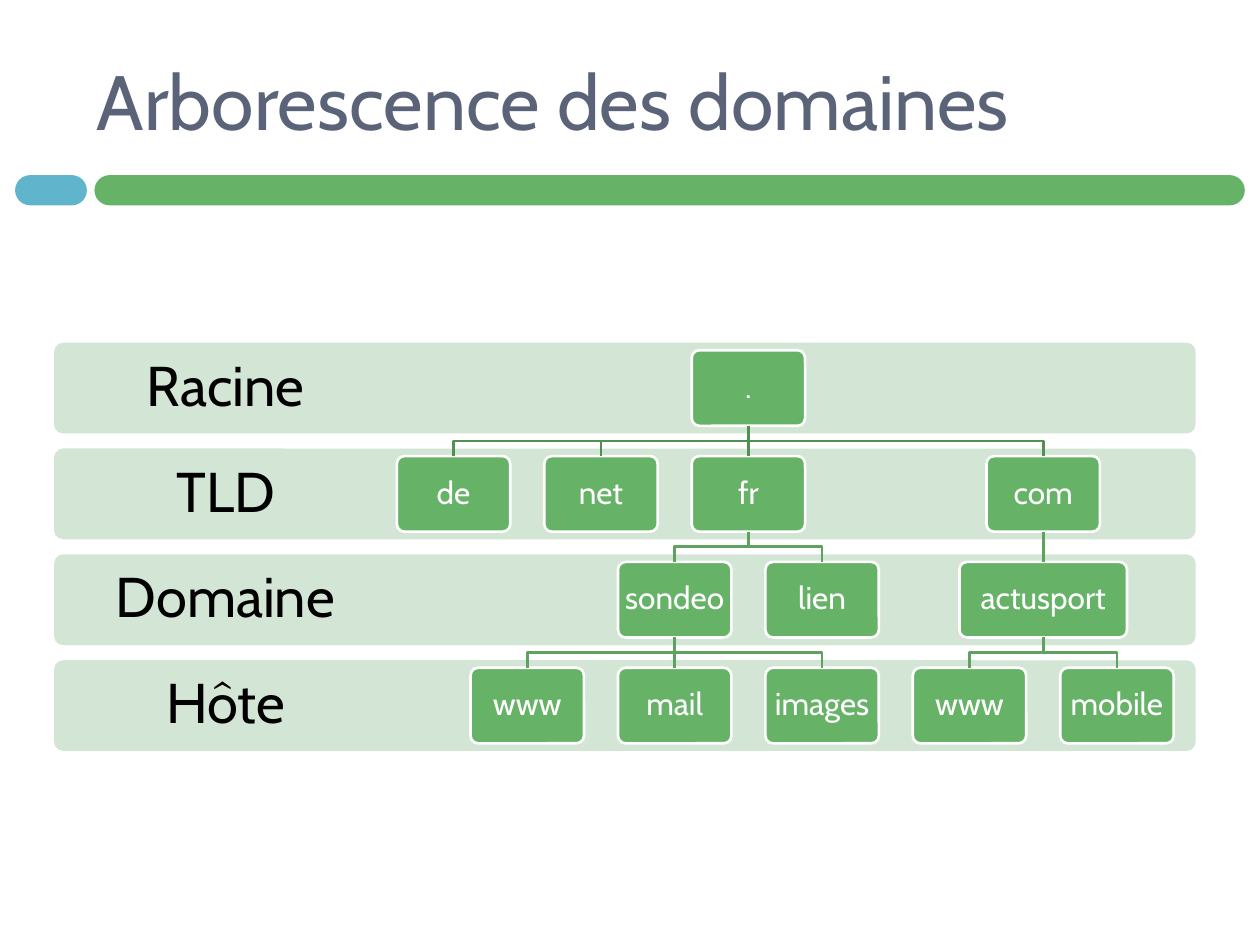
from lxml import etree
from pptx import Presentation
from pptx.dml.color import RGBColor
from pptx.enum.shapes import MSO_CONNECTOR, MSO_SHAPE
from pptx.enum.text import MSO_ANCHOR, PP_ALIGN
from pptx.oxml.ns import qn
from pptx.util import Inches, Pt

ROUNDED = MSO_SHAPE.ROUNDED_RECTANGLE
STRAIGHT = MSO_CONNECTOR.STRAIGHT
MIDDLE = MSO_ANCHOR.MIDDLE
LEFT, CENTER = PP_ALIGN.LEFT, PP_ALIGN.CENTER
BOTTOM_SITE, TOP_SITE = 2, 0

FONT = "Cabin"
GREEN, BLUE, BAND, WHITE = "66B368", "60B5CC", "D3E5D4", "FFFFFF"
ROOT_LINK, LOWER_LINK = "528F53", "5DA25E"

LEVELS = ["Racine", "TLD", "Domaine", "Hôte"]
LEVEL_STEP, BAND_HEIGHT, LABEL_WIDTH = 0.84, 0.72, 2.72
NODE_WIDTH, NODE_HEIGHT, NODE_INSET = 0.9, 0.6, 0.06
FIRST_CENTER, COLUMN = 3.17, 1.17  # centers relative to the tree's left edge

# Each node: name, position in half columns, children
DOMAIN_TREE = (".", 4, [
    ("de", 0, []),
    ("net", 2, []),
    ("fr", 4, [
        ("sondeo", 3, [("www", 1, []), ("mail", 3, []), ("images", 5, [])]),
        ("lien", 5, []),
    ]),
    ("com", 8, [
        ("actusport", 8, [("www", 7, []), ("mobile", 9, [])]),
    ]),
])
WIDE_NODES = {"actusport": 1.33}


def color(hex_value):
    return RGBColor.from_string(hex_value)


def write(shape, text, size, hex_value, align, inset, spacing=1.0):
    frame = shape.text_frame
    frame.word_wrap = True
    frame.vertical_anchor = MIDDLE
    frame.margin_left = frame.margin_right = Inches(inset)
    frame.margin_top = frame.margin_bottom = 0
    paragraph = frame.paragraphs[0]
    paragraph.alignment = align
    paragraph.line_spacing = spacing
    run = paragraph.add_run()
    run.text = text
    run.font.name = FONT
    run.font.size = Pt(size)
    run.font.color.rgb = color(hex_value)


def add_rounded(slide, box, fill, radius, border=None):
    shape = slide.shapes.add_shape(ROUNDED, *map(Inches, box))
    shape.adjustments[0] = radius
    shape.shadow.inherit = False
    shape.fill.solid()
    shape.fill.fore_color.rgb = color(fill)
    if border:
        shape.line.color.rgb = color(border)
        shape.line.width = Pt(1.5)
    else:
        shape.line.fill.background()
    return shape


def add_text(slide, box, *style):
    write(slide.shapes.add_textbox(*map(Inches, box)), *style)


def add_header(slide, left, top, width, height):
    add_text(slide, (left + 0.55, top, width - 0.84, height - 0.3),
             "Arborescence des domaines", 44, "5A6378", LEFT, 0.1)
    bar_top = top + height - 0.24
    add_rounded(slide, (left, bar_top, 0.57, 0.24), BLUE, 0.5)
    add_rounded(slide, (left + 0.63, bar_top, width - 0.63, 0.24), GREEN, 0.5)


def add_levels(slide, left, top, width):
    for row, level in enumerate(LEVELS):
        y = top + row * LEVEL_STEP
        add_rounded(slide, (left, y, width, BAND_HEIGHT), BAND, 0.1)
        add_text(slide, (left, y, LABEL_WIDTH, BAND_HEIGHT),
                 level, 32, "000000", CENTER, 0.25, 0.9)


def add_link(slide, parent, child, hex_value):
    start_x = parent.left + parent.width // 2
    end_x = child.left + child.width // 2
    start_y, end_y = parent.top + parent.height, child.top
    if abs(start_x - end_x) < Inches(0.01):
        link = slide.shapes.add_connector(STRAIGHT, start_x, start_y, end_x, end_y)
        link.begin_connect(parent, BOTTOM_SITE)
        link.end_connect(child, TOP_SITE)
        etree.SubElement(link._element.spPr, qn("a:effectLst"))
    else:
        middle_y = (start_y + end_y) // 2
        builder = slide.shapes.build_freeform(start_x, start_y)
        builder.add_line_segments(
            [(start_x, middle_y), (end_x, middle_y), (end_x, end_y)], close=False)
        link = builder.convert_to_shape()
        link.fill.background()
        link.shadow.inherit = False
    link.line.color.rgb = color(hex_value)
    link.line.width = Pt(1.5)


def add_branch(slide, left, top, node, depth=0):
    """Place a node and all its descendants; return the node's shape."""
    name, half_columns, children = node
    width = WIDE_NODES.get(name, NODE_WIDTH)
    x = left + FIRST_CENTER + half_columns * COLUMN / 2 - width / 2
    y = top + NODE_INSET + depth * LEVEL_STEP
    shape = add_rounded(slide, (x, y, width, NODE_HEIGHT), GREEN, 0.1, WHITE)
    write(shape, name, 18, WHITE, CENTER, 0.02, 0.9)
    for child in children:
        child_shape = add_branch(slide, left, top, child, depth + 1)
        add_link(slide, shape, child_shape, LOWER_LINK if depth else ROOT_LINK)
    return shape


def add_domain_tree(slide, left, top, width):
    add_levels(slide, left, top, width)
    add_branch(slide, left, top, DOMAIN_TREE)


def main():
    deck = Presentation()
    deck.slide_width, deck.slide_height = Inches(10), Inches(7.5)
    slide = deck.slides.add_slide(deck.slide_layouts[6])
    add_header(slide, 0.12, 0.25, 9.76, 1.38)
    add_domain_tree(slide, 0.43, 2.72, 9.06)
    deck.save("out.pptx")


if __name__ == "__main__":
    main()
